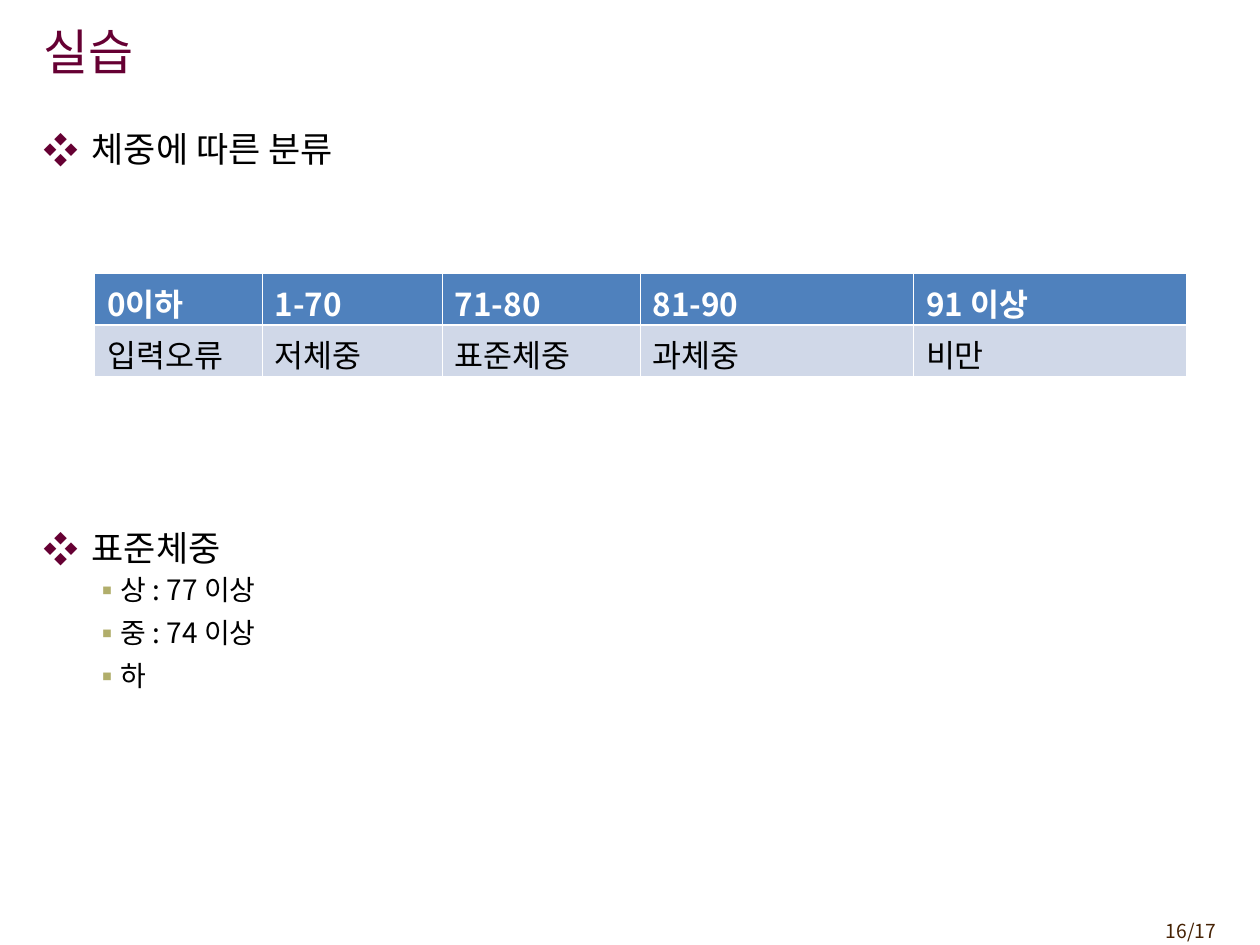
from dataclasses import dataclass

from lxml import etree
from pptx import Presentation
from pptx import util as u
from pptx.dml.color import RGBColor
from pptx.enum import text
from pptx.oxml import ns


@dataclass(frozen=True)
class Theme:
    font: str = "Noto Sans CJK KR"
    accent: str = "660033"
    sub_accent: str = "B1AE6B"
    ink: str = "000000"
    page_ink: str = "452103"
    white: str = "FFFFFF"
    header_fill: str = "4F81BD"
    row_fill: str = "D0D8E8"
    title_size: int = 28
    heading_size: int = 20
    cell_size: int = 18
    item_size: int = 16
    page_size: int = 11
    thin: float = 0.45
    thick: float = 1.47


def add_xml(parent, tag, **attrs):
    return etree.SubElement(parent, ns.qn(tag), attrs)


def add_solid(parent, color):
    add_xml(add_xml(parent, "a:solidFill"), "a:srgbClr", val=color)


class SlideBuilder:
    def __init__(self, slide, theme):
        self.s = slide
        self.theme = theme

    def add_run(self, p, words, size, color, bold=False):
        r = p.add_run()
        r.text = words
        style = {"name": self.theme.font, "size": u.Pt(size), "bold": bold}
        for name, value in style.items():
            setattr(r.font, name, value)
        r.font.color.rgb = RGBColor.from_string(color)
        add_xml(r._r.get_or_add_rPr(), "a:ea", typeface=self.theme.font)

    def box(self, left, top, width, height, anchor=text.MSO_ANCHOR.TOP):
        sp = self.s.shapes.add_textbox(*map(u.Inches, (left, top, width, height)))
        tf = sp.text_frame
        tf.word_wrap = True
        tf.vertical_anchor = anchor
        return tf

    def label(self, at, words, size, color, align, anchor):
        p = self.box(*at, anchor=anchor).paragraphs[0]
        p.alignment = align
        self.add_run(p, words, size, color)

    def bullets(self, at, items):
        """Fill one box with (words, level, space before) items."""
        t = self.theme
        levels = [
            dict(mark="❖", color=t.accent, size=t.heading_size, left=0.38, hang=0.38,
                 format={"line_spacing": 0.83}),
            dict(mark="▪", color=t.sub_accent, size=t.item_size, left=0.59, hang=0.2,
                 format={"line_spacing": 0.92, "space_after": u.Pt(3)}),
        ]
        tf = self.box(*at)
        for i, (words, level, before) in enumerate(items):
            p = tf.add_paragraph() if i else tf.paragraphs[0]
            look = levels[level]
            values = {"level": level, "space_before": u.Pt(before), **look["format"]}
            for name, value in values.items():
                setattr(p, name, value)
            pPr = p._p.get_or_add_pPr()
            pPr.set("marL", str(u.Inches(look["left"])))
            pPr.set("indent", str(-u.Inches(look["hang"])))
            add_xml(add_xml(pPr, "a:buClr"), "a:srgbClr", val=look["color"])
            add_xml(pPr, "a:buFont", typeface=t.font)
            add_xml(pPr, "a:buChar", char=look["mark"])
            self.add_run(p, words, look["size"], t.ink)

    def borders(self, cell, widths):
        tcPr = cell._tc.get_or_add_tcPr()
        for side, width in widths.items():
            line = add_xml(tcPr, f"a:ln{side}", w=str(u.Pt(width)))
            add_solid(line, self.theme.white)

    def table(self, left, top, widths, row_height, rows):
        """Draw a table whose first row is the header."""
        t = self.theme
        frame = self.s.shapes.add_table(
            len(rows), len(widths), u.Inches(left), u.Inches(top),
            u.Inches(sum(widths)), u.Inches(row_height * len(rows)))
        table = frame.table
        for column, width in zip(table.columns, widths):
            column.width = u.Inches(width)
        for i, row in enumerate(rows):
            header = i == 0
            table.rows[i].height = u.Inches(row_height)
            for j, words in enumerate(row):
                cell = table.cell(i, j)
                self.borders(cell, {"L": t.thin, "R": t.thin,
                                    "T": t.thin if header else t.thick,
                                    "B": t.thick if header else t.thin})
                cell.fill.solid()
                fill = t.header_fill if header else t.row_fill
                cell.fill.fore_color.rgb = RGBColor.from_string(fill)
                self.add_run(cell.text_frame.paragraphs[0], words, t.cell_size,
                             t.white if header else t.ink, bold=header)


def main():
    prs = Presentation()
    prs.slide_width, prs.slide_height = u.Inches(10), u.Inches(7.5)
    theme = Theme()
    b = SlideBuilder(prs.slides.add_slide(prs.slide_layouts[6]), theme)

    b.label((8.92, 7.25, 0.83, 0.29), "16/17", theme.page_size, theme.page_ink,
            text.PP_ALIGN.RIGHT, text.MSO_ANCHOR.TOP)
    b.bullets((0.25, 1.02, 9.5, 6.25), [
        ("체중에 따른 분류", 0, 0),
        ("표준체중", 0, 208),  # leaves room for the table
        ("상 : 77 이상", 1, 4),
        ("중 : 74 이상", 1, 4),
        ("하", 1, 4),
    ])
    b.label((0.25, 0.09, 8.27, 0.63), "실습", theme.title_size, theme.accent,
            text.PP_ALIGN.LEFT, text.MSO_ANCHOR.MIDDLE)
    b.table(0.75, 2.17, [1.33, 1.43, 1.57, 2.17, 2.17], 0.41, [
        ["0이하", "1-70", "71-80", "81-90", "91 이상"],
        ["입력오류", "저체중", "표준체중", "과체중", "비만"],
    ])
    prs.save("out.pptx")


if __name__ == "__main__":
    main()
